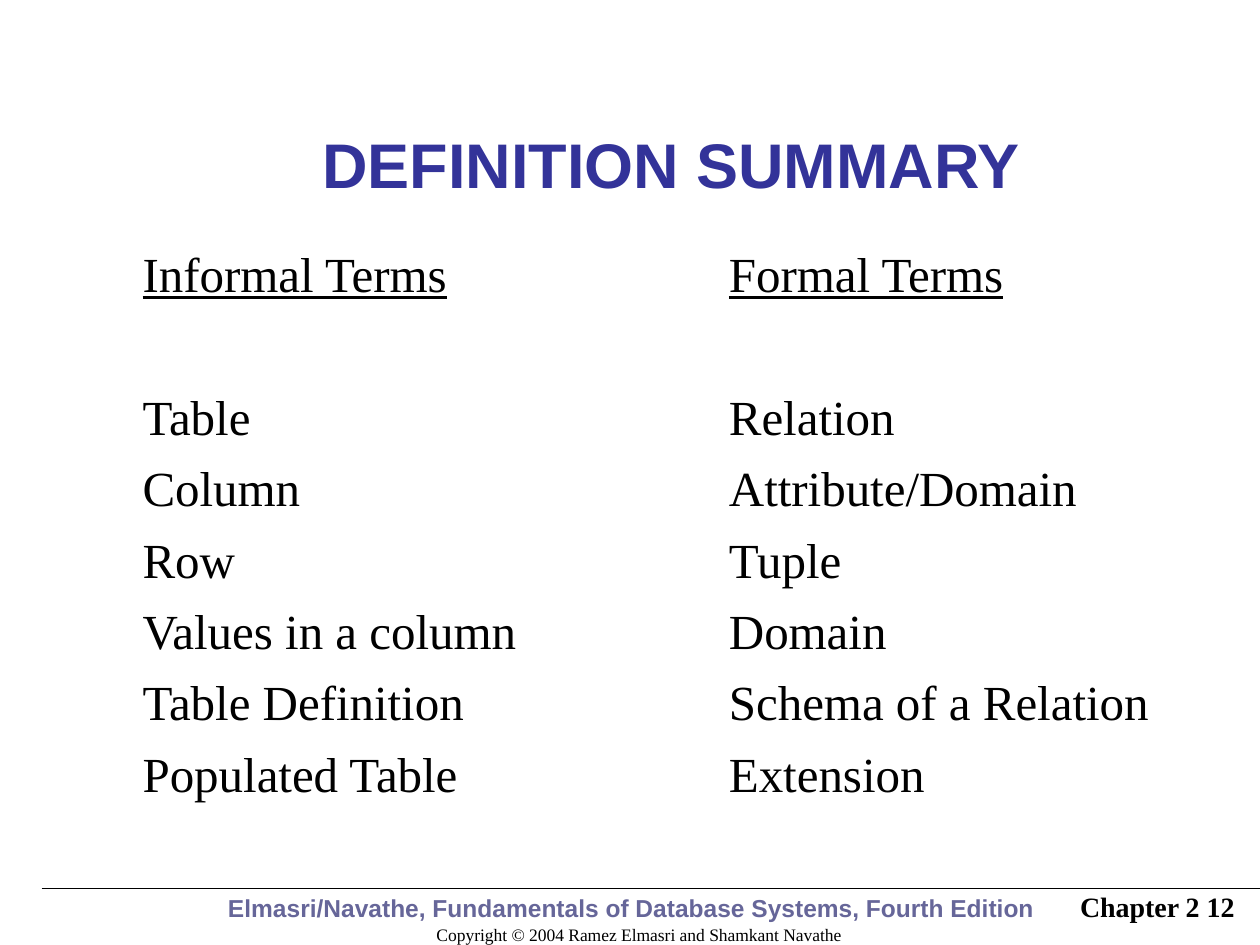
from lxml import etree
from pptx import Presentation
from pptx.dml.color import RGBColor
from pptx.enum.shapes import MSO_CONNECTOR
from pptx.enum.text import MSO_ANCHOR, PP_ALIGN
from pptx.oxml.ns import qn
from pptx.util import Cm, Pt

STRAIGHT = MSO_CONNECTOR.STRAIGHT
MIDDLE, BOTTOM = MSO_ANCHOR.MIDDLE, MSO_ANCHOR.BOTTOM
CENTER, RIGHT = PP_ALIGN.CENTER, PP_ALIGN.RIGHT
TITLE_ONLY = 5

TERMS = [
    ("Informal Terms", "Formal Terms"),
    ("", ""),
    ("Table", "Relation"),
    ("Column", "Attribute/Domain"),
    ("Row", "Tuple"),
    ("Values in a column", "Domain"),
    ("Table Definition", "Schema of a Relation"),
    ("Populated Table", "Extension"),
]


def color(value):
    return RGBColor.from_string(value)


class SlideBuilder:
    serif = "Times New Roman"
    sans = "Arial"
    ink = "000000"
    title_blue = "333399"
    footer_blue = "666699"
    white = "FFFFFF"
    outer_border = 1.08
    inner_border = 0.45

    def __init__(self, deck):
        self.page = deck.slides.add_slide(deck.slide_layouts[TITLE_ONLY])

    def format(self, para, size, face, ink, bold=False):
        para.font.size = Pt(size)
        para.font.name = face
        para.font.bold = bold
        para.font.color.rgb = color(ink)

    def fill_frame(self, frame, text, anchor, align, *font):
        frame.word_wrap = True
        frame.vertical_anchor = anchor
        para = frame.paragraphs[0]
        para.text = text
        para.alignment = align
        self.format(para, *font)

    def title(self, text, *place):
        box = self.page.shapes.title
        box.left, box.top, box.width, box.height = map(Cm, place)
        self.fill_frame(box.text_frame, text, MIDDLE, CENTER,
                        36, self.sans, self.title_blue, True)

    def text(self, text, place, anchor, align, *font):
        box = self.page.shapes.add_textbox(*map(Cm, place))
        self.fill_frame(box.text_frame, text, anchor, align, *font)

    def rule(self, left, right, top):
        line = self.page.shapes.add_connector(
            STRAIGHT, Cm(left), Cm(top), Cm(right), Cm(top))
        line.line.color.rgb = color(self.ink)
        line.line.width = Pt(0.75)
        etree.SubElement(line._element.spPr, qn("a:effectLst"))

    def border(self, cell, side, width):
        properties = cell._tc.get_or_add_tcPr()
        edge = etree.SubElement(properties, qn(f"a:ln{side}"), w=str(Pt(width)))
        fill = etree.SubElement(edge, qn("a:solidFill"))
        etree.SubElement(fill, qn("a:srgbClr"), val=self.white)

    def table(self, rows, left, top, widths, row_height):
        frame = self.page.shapes.add_table(
            len(rows), len(widths), Cm(left), Cm(top),
            Cm(sum(widths)), Cm(row_height * len(rows)))
        table = frame.table
        table.first_row = table.horz_banding = False
        for column, width in zip(table.columns, widths):
            column.width = Cm(width)
        last_row, last_column = len(rows) - 1, len(widths) - 1
        for r, (informal, formal) in enumerate(rows):
            table.rows[r].height = Cm(row_height)
            for c, text in enumerate((informal, "", formal)):
                cell = table.cell(r, c)
                outer = {"L": c == 0, "R": c == last_column,
                         "T": r == 0, "B": r == last_row}
                for side, is_outer in outer.items():
                    self.border(cell, side, self.outer_border if is_outer
                                else self.inner_border)
                cell.fill.background()
                para = cell.text_frame.paragraphs[0]
                para.text = text
                self.format(para, 28, self.serif, self.ink)
                para.font.underline = r == 0


def main():
    deck = Presentation()
    deck.slide_width, deck.slide_height = Cm(25.4), Cm(19.05)
    slide = SlideBuilder(deck)
    slide.text("Copyright © 2004 Ramez Elmasri and Shamkant Navathe",
               (7.24, 17.91, 11.28, 1.27), BOTTOM, CENTER,
               10, slide.serif, slide.ink)
    slide.text("Elmasri/Navathe, Fundamentals of Database Systems, Fourth Edition",
               (2.2, 17.45, 21.06, 1.27), BOTTOM, CENTER,
               14, slide.sans, slide.footer_blue, True)
    slide.rule(0.84, 25.4, 17.91)
    slide.title("DEFINITION SUMMARY", 3.56, 1.7, 19.94, 3.18)
    slide.table(TERMS, 2.62, 4.88, (8.92, 2.9, 9.07), 1.44)
    slide.text("Chapter 2 12", (19.86, 17.73, 5.28, 1.07), MIDDLE, RIGHT,
               16, slide.serif, slide.ink, True)
    deck.save("out.pptx")


if __name__ == "__main__":
    main()
